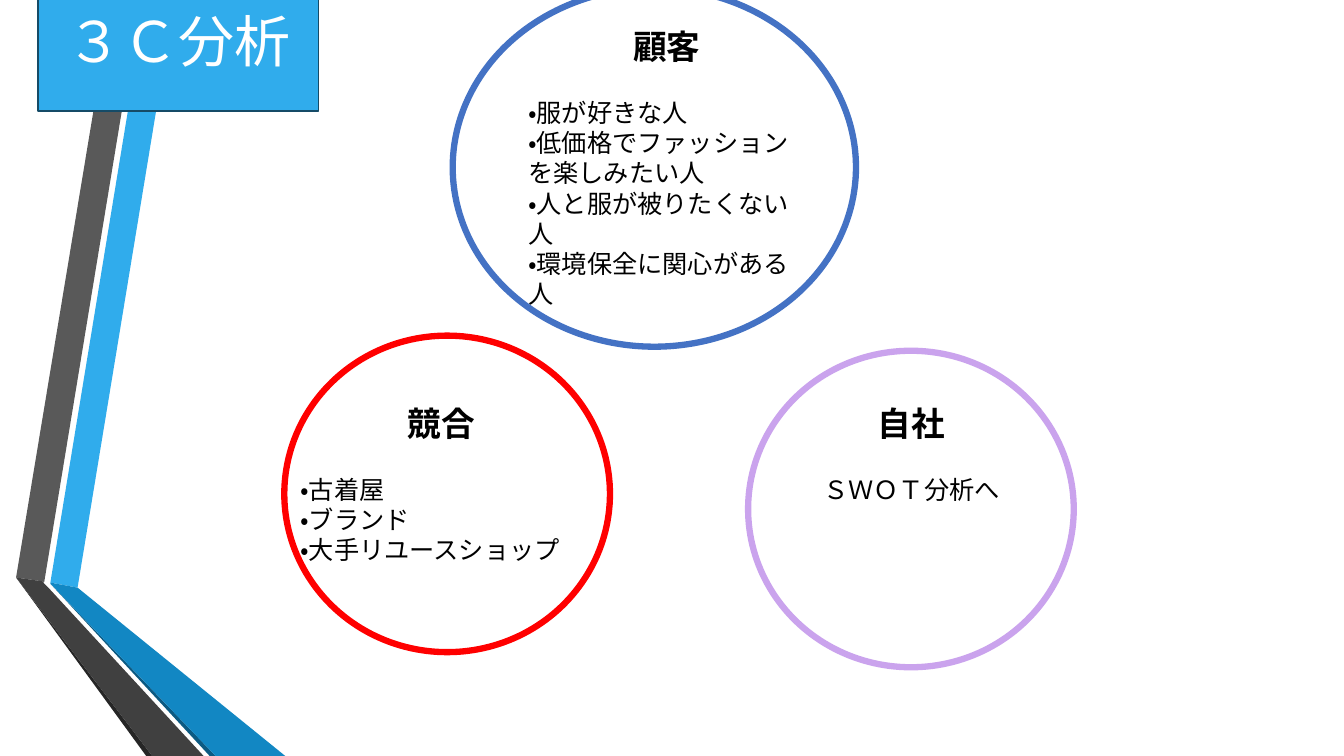
from lxml import etree
from pptx import Presentation
from pptx.dml.color import RGBColor
from pptx.enum.lang import MSO_LANGUAGE_ID
from pptx.enum.shapes import MSO_SHAPE
from pptx.enum.text import MSO_ANCHOR, MSO_AUTO_SIZE, PP_ALIGN
from pptx.oxml.ns import qn
from pptx.util import Inches, Pt

COLORS = {
    "sky": "30ACEC", "sky_shade": "1287C3", "sky_edge": "0C5A82",
    "gray": "595959", "gray_shade": "404040", "gray_edge": "262626",
    "customer": "4472C4", "competitor": "FF0000", "company": "CAA3ED",
    "title_border": "154B67", "white": "FFFFFF", "black": "000000",
}


def rgb(name):
    return RGBColor.from_string(COLORS[name])


def add_run(paragraph, text, size, color, bold=False):
    run = paragraph.add_run()
    run.text = text
    run.font.name = "Calibri"
    run.font.size = Pt(size)
    run.font.bold = bold
    run.font.color.rgb = rgb(color)
    run.font.language_id = MSO_LANGUAGE_ID.JAPANESE


prs = Presentation()
prs.slide_width, prs.slide_height = Inches(13.33), Inches(7.5)
slide = prs.slides.add_slide(prs.slide_layouts[5])
shapes = slide.shapes

# Folded ribbons on the left edge
ribbons = [
    ("sky", [(0.5, 5.78), (0.77, 5.83), (1.73, 0), (1.45, 0)]),
    ("gray", [(1.39, 0), (1.11, 0), (0.16, 5.73), (0.44, 5.77)]),
    ("gray_edge", [(0.16, 5.73), (1.45, 7.5), (1.51, 7.5)]),
    ("sky_edge", [(0.5, 5.79), (2.08, 7.5), (2.14, 7.5)]),
    ("sky_shade", [(0.5, 5.79), (2.14, 7.5), (2.83, 7.5), (0.77, 5.83), (0.5, 5.78)]),
    ("gray_shade", [(2.02, 7.5), (0.48, 5.83), (0.43, 5.78), (0.44, 5.77),
                    (0.16, 5.73), (1.51, 7.5)]),
]
for color, corners in ribbons:
    start, *rest = [(Inches(x), Inches(y)) for x, y in corners]
    outline = shapes.build_freeform(*start)
    outline.add_line_segments(rest, close=True)
    ribbon = outline.convert_to_shape()
    ribbon.fill.solid()
    ribbon.fill.fore_color.rgb = rgb(color)
    ribbon.line.fill.background()
    ribbon.shadow.inherit = False

# The three Cs: colour, circle box, text box, heading, items, item alignment
three_cs = [
    ("customer", (4.49, -0.12, 4, 3.56), (5.14, 0.21, 2.95, 3.23), "顧客",
     ["・服が好きな人", "・低価格でファッションを楽しみたい人",
      "・人と服が被りたくない人", "・環境保全に関心がある人"], PP_ALIGN.LEFT),
    ("competitor", (2.82, 3.33, 3.23, 3.14), (2.88, 3.95, 3, 2.02), "競合",
     ["・古着屋", "・ブランド", "・大手リユースショップ"], PP_ALIGN.LEFT),
    ("company", (7.42, 3.48, 3.23, 3.14), (7.54, 3.95, 3, 1.11), "自社",
     ["ＳＷＯＴ分析へ"], PP_ALIGN.CENTER),
]
for color, circle_box, text_box, heading, items, alignment in three_cs:
    circle = shapes.add_shape(MSO_SHAPE.FLOWCHART_CONNECTOR, *map(Inches, circle_box))
    circle.fill.background()
    circle.line.color.rgb = rgb(color)
    circle.line.width = Pt(4.5)
    circle.shadow.inherit = False

    content = shapes.add_textbox(*map(Inches, text_box)).text_frame
    content.word_wrap = True
    content.auto_size = MSO_AUTO_SIZE.SHAPE_TO_FIT_TEXT
    content.paragraphs[0].alignment = PP_ALIGN.CENTER
    add_run(content.paragraphs[0], heading, 24, "black", bold=True)
    for item in items:
        paragraph = content.add_paragraph()
        paragraph.alignment = alignment
        add_run(paragraph, item, 18, "black")
    content.paragraphs[1].space_before = Pt(22)

# Title tab, rounded and in front of the ribbons
title = shapes.title
title.left, title.top, title.width, title.height = map(Inches, (0.38, -0.31, 2.78, 1.41))
geometry = etree.SubElement(title.element.spPr, qn("a:prstGeom"), prst="roundRect")
etree.SubElement(geometry, qn("a:avLst"))
title.fill.solid()
title.fill.fore_color.rgb = rgb("sky")
title.line.color.rgb = rgb("title_border")
title.line.width = Pt(1.25)
title.text_frame.auto_size = MSO_AUTO_SIZE.NONE
title.text_frame.vertical_anchor = MSO_ANCHOR.MIDDLE
title.text_frame.paragraphs[0].alignment = PP_ALIGN.CENTER
add_run(title.text_frame.paragraphs[0], "３Ｃ分析", 40, "white")
title.element.getparent().append(title.element)

prs.save("out.pptx")
